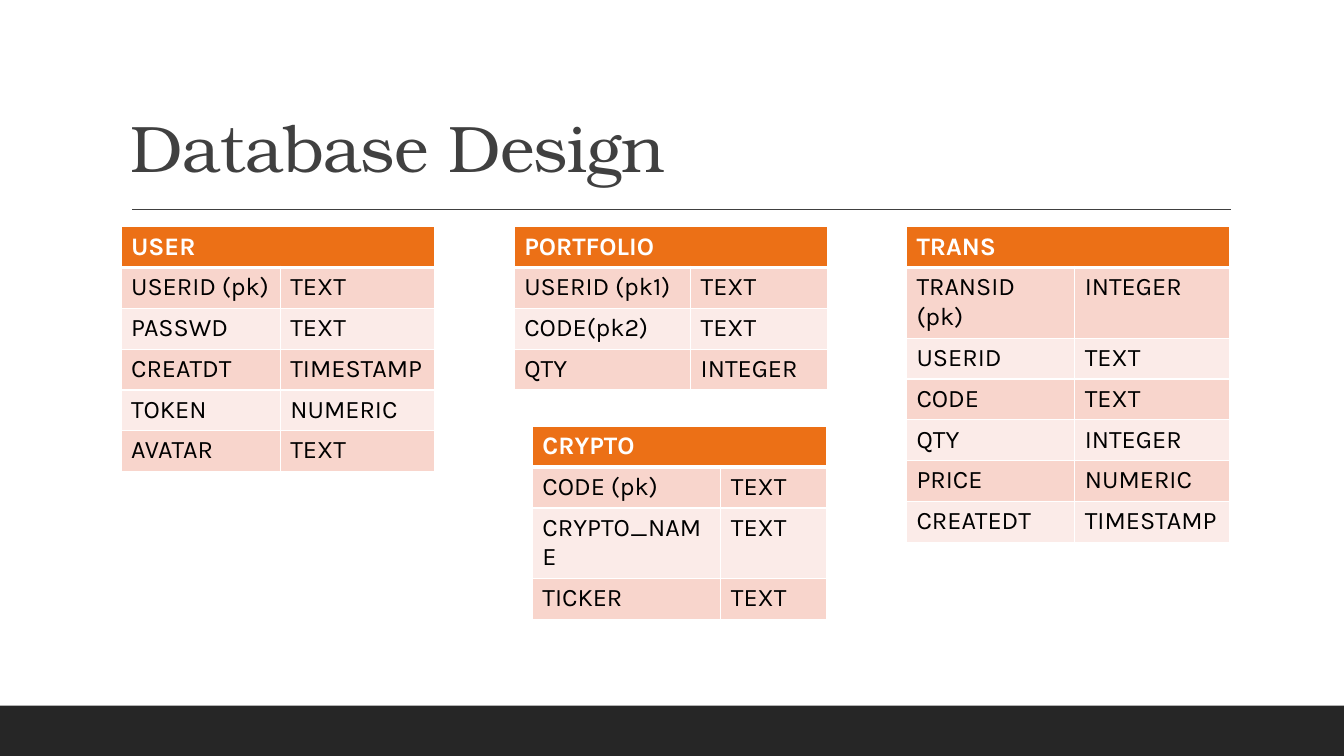
import lxml.etree
import pptx
import pptx.dml.color
import pptx.enum.shapes
import pptx.enum.text
import pptx.oxml.ns
import pptx.util

Inches = pptx.util.Inches
Pt = pptx.util.Pt
RGBColor = pptx.dml.color.RGBColor
qn = pptx.oxml.ns.qn

WHITE = RGBColor(0xFF, 0xFF, 0xFF)
BLACK = RGBColor(0x00, 0x00, 0x00)
CHARCOAL = RGBColor(0x26, 0x26, 0x26)
GRAY = RGBColor(0x40, 0x40, 0x40)
ORANGE = RGBColor(0xEC, 0x70, 0x16)
PINK = RGBColor(0xF8, 0xD5, 0xCC)
PALE_PINK = RGBColor(0xFB, 0xEB, 0xE8)

ROW_HEIGHT = Inches(1.62) // 4
TITLE_FONT = {"name": "TeX Gyre Bonum", "size": Pt(47)}
HEADER_FONT = {"name": "Karla", "size": Pt(18), "bold": True}
FIELD_FONT = {"name": "Karla", "size": Pt(18), "bold": False}

# Name, left, top, column widths, fields
DATABASE_TABLES = [
    ("CRYPTO", 5.28, 4.23, (1.87, 1.05), [
        ("CODE (pk)", "TEXT"), ("CRYPTO_NAME", "TEXT"), ("TICKER", "TEXT")]),
    ("USER", 1.2, 2.25, (1.58, 1.53), [
        ("USERID (pk)", "TEXT"), ("PASSWD", "TEXT"), ("CREATDT", "TIMESTAMP"),
        ("TOKEN", "NUMERIC"), ("AVATAR", "TEXT")]),
    ("PORTFOLIO", 5.1, 2.25, (1.75, 1.36), [
        ("USERID (pk1)", "TEXT"), ("CODE(pk2)", "TEXT"), ("QTY", "INTEGER")]),
    ("TRANS", 8.99, 2.25, (1.67, 1.54), [
        ("TRANSID (pk)", "INTEGER"), ("USERID", "TEXT"), ("CODE", "TEXT"),
        ("QTY", "INTEGER"), ("PRICE", "NUMERIC"), ("CREATEDT", "TIMESTAMP")]),
]


def format_font(font, values, color):
    for name, value in values.items():
        setattr(font, name, value)
    font.color.rgb = color


def add_borders(cell, top, bottom):
    """Draw white cell borders; top and bottom are widths in points."""
    properties = cell._tc.get_or_add_tcPr()
    widths = {"a:lnL": 1, "a:lnR": 1, "a:lnT": top, "a:lnB": bottom}
    for position, (tag, width) in enumerate(widths.items()):
        border = lxml.etree.Element(qn(tag), w=str(Pt(width)))
        fill = lxml.etree.SubElement(border, qn("a:solidFill"))
        lxml.etree.SubElement(fill, qn("a:srgbClr"), val=str(WHITE))
        properties.insert(position, border)


presentation = pptx.Presentation()
presentation.slide_width = Inches(13.33)
presentation.slide_height = Inches(7.5)
slide = presentation.slides.add_slide(presentation.slide_layouts[6])

footer_band = slide.shapes.add_shape(
    pptx.enum.shapes.MSO_SHAPE.RECTANGLE,
    0, Inches(7), presentation.slide_width, Inches(0.5))
footer_band.shadow.inherit = False
footer_band.fill.solid()
footer_band.fill.fore_color.rgb = CHARCOAL
footer_band.line.fill.background()

title_rule = slide.shapes.add_connector(
    pptx.enum.shapes.MSO_CONNECTOR.STRAIGHT,
    Inches(1.31), Inches(2.08), Inches(12.21), Inches(2.08))
title_rule.line.color.rgb = GRAY
title_rule.line.width = Pt(1)
lxml.etree.SubElement(title_rule._element.spPr, qn("a:effectLst"))

title_box = slide.shapes.add_textbox(Inches(1.2), Inches(0.31), Inches(11), Inches(1.59))
title_box.text_frame.word_wrap = True
title_box.text_frame.vertical_anchor = pptx.enum.text.MSO_ANCHOR.BOTTOM
title_paragraph = title_box.text_frame.paragraphs[0]
title_paragraph.line_spacing = 0.9
title_run = title_paragraph.add_run()
title_run.text = "Database Design"
format_font(title_run.font, TITLE_FONT, GRAY)
title_run.font._element.set("spc", "-50")

for name, left, top, column_widths, fields in DATABASE_TABLES:
    rows = [(name, "")] + fields
    table = slide.shapes.add_table(
        len(rows), 2, Inches(left), Inches(top),
        Inches(sum(column_widths)), ROW_HEIGHT * len(rows)).table
    for column, width in zip(table.columns, column_widths):
        column.width = Inches(width)
    table.cell(0, 0).merge(table.cell(0, 1))

    for row_index, row in enumerate(rows):
        is_header = row_index == 0
        band_color = PINK if row_index % 2 else PALE_PINK
        for column_index, text in enumerate(row):
            cell = table.cell(row_index, column_index)
            cell.fill.solid()
            cell.fill.fore_color.rgb = ORANGE if is_header else band_color
            add_borders(cell, 3 if row_index == 1 else 1, 3 if is_header else 1)
            if text:
                run = cell.text_frame.paragraphs[0].add_run()
                run.text = text
                format_font(run.font, HEADER_FONT if is_header else FIELD_FONT,
                            WHITE if is_header else BLACK)

presentation.save("out.pptx")
